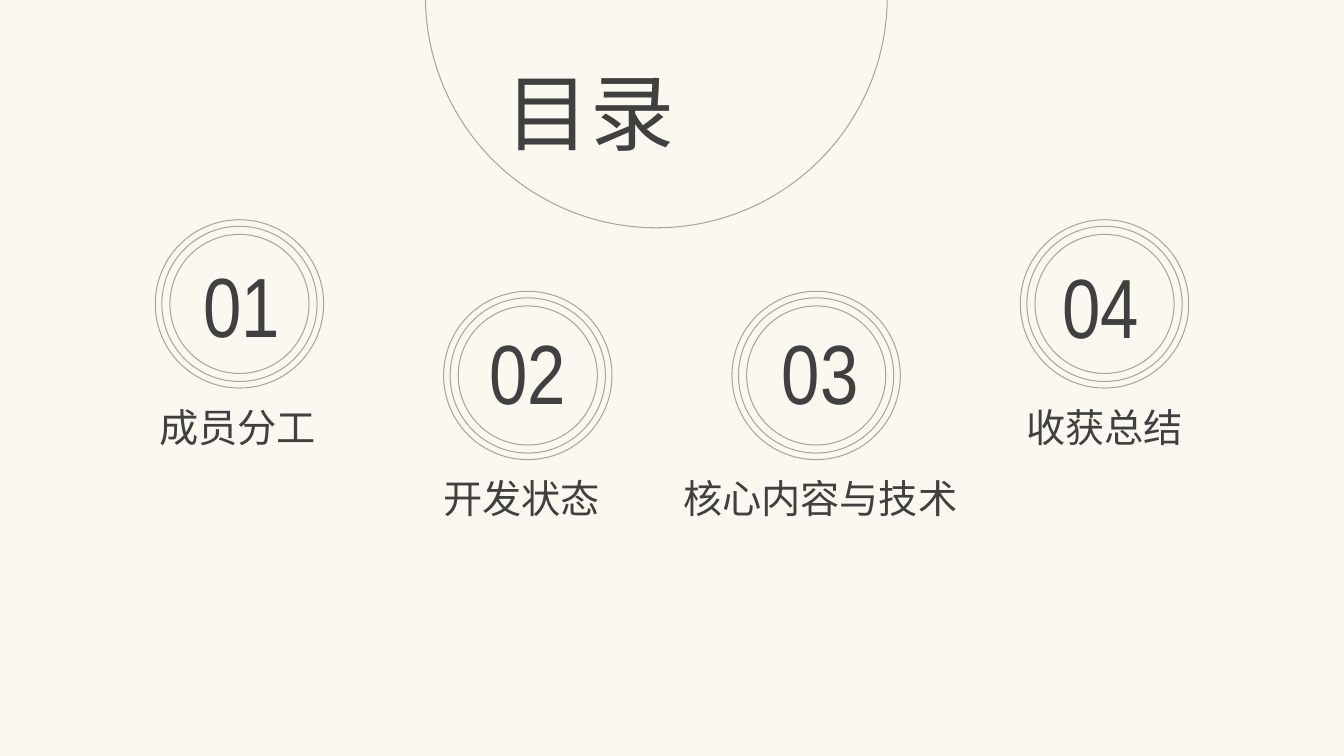
from math import cos, pi, sin

from pptx import Presentation
from pptx.dml.color import RGBColor
from pptx.enum.shapes import MSO_SHAPE
from pptx.enum.text import MSO_ANCHOR, MSO_AUTO_SIZE, PP_ALIGN
from pptx.util import Inches, Pt

COLORS = {"paper": "FBF8EF", "ring": "A6A6A6", "text": "404040"}
FONT = "Arial Narrow"
TITLE = ("目录", (4.92, 0.55, 3.18, 1.11))
SECTIONS = [
    {"number": "01", "label": "成员分工", "top": 2.18, "label_left": 0.88, "number_box": (1.87, 2.47, 1.05, 1.11)},
    {"number": "02", "label": "开发状态", "top": 2.89, "label_left": 3.7, "number_box": (4.55, 3.13, 1.37, 1.11)},
    {"number": "03", "label": "核心内容与技术", "top": 2.89, "label_left": 6.66, "number_box": (7.45, 3.13, 1.37, 1.11)},
    {"number": "04", "label": "收获总结", "top": 2.18, "label_left": 9.48, "number_box": (10.23, 2.48, 1.37, 1.11)},
]
RING_SIZES = (1.67, 1.54, 1.38)
FIRST_RING_LEFT, RING_STEP = 1.54, 2.86
LABEL_DROP, LABEL_WIDTH, LABEL_HEIGHT = 1.77, 2.95, 0.57
ARC_CENTER, ARC_RADIUS, ARC_TOP, ARC_STEPS = (6.51, -0.03), 2.29, -0.05, 120
FRAME_FORMAT = {
    "word_wrap": True,
    "auto_size": MSO_AUTO_SIZE.SHAPE_TO_FIT_TEXT,
    "vertical_anchor": MSO_ANCHOR.TOP,
}


def set_attributes(target, values):
    for name, value in values.items():
        setattr(target, name, value)


def color(name):
    return RGBColor.from_string(COLORS[name])


def style_outline(shape):
    shape.shadow.inherit = False
    shape.fill.solid()
    shape.fill.fore_color.rgb = color("paper")
    shape.line.color.rgb = color("ring")
    shape.line.width = Pt(0)


def add_text(slide, text, box, size, alignment=PP_ALIGN.CENTER):
    frame = slide.shapes.add_textbox(*map(Inches, box)).text_frame
    set_attributes(frame, FRAME_FORMAT)
    paragraph = frame.paragraphs[0]
    paragraph.alignment = alignment
    run = paragraph.add_run()
    run.text = text
    set_attributes(run.font, {"name": FONT, "size": Pt(size)})
    run.font.color.rgb = color("text")


def add_rings(slide, left, top):
    group = slide.shapes.add_group_shape()
    for size in RING_SIZES:
        inset = (RING_SIZES[0] - size) / 2
        box = (left + inset, top + inset, size, size)
        style_outline(group.shapes.add_shape(MSO_SHAPE.OVAL, *map(Inches, box)))


def add_title_arc(slide):
    center_x, center_y = ARC_CENTER
    angles = [pi * step / ARC_STEPS for step in range(ARC_STEPS + 1)]
    points = [(center_x + ARC_RADIUS * cos(angle), center_y + ARC_RADIUS * sin(angle)) for angle in angles]
    points.append((center_x - ARC_RADIUS, ARC_TOP))
    builder = slide.shapes.build_freeform(
        Inches(center_x + ARC_RADIUS), Inches(ARC_TOP)
    )
    builder.add_line_segments([(Inches(x), Inches(y)) for x, y in points], close=True)
    style_outline(builder.convert_to_shape())


def main():
    """Build the contents slide with four numbered sections."""
    presentation = Presentation()
    set_attributes(presentation, {"slide_width": Inches(13.33), "slide_height": Inches(7.5)})
    slide = presentation.slides.add_slide(presentation.slide_layouts[6])
    slide.background.fill.solid()
    slide.background.fill.fore_color.rgb = color("paper")

    for index, section in enumerate(SECTIONS):
        add_rings(slide, FIRST_RING_LEFT + index * RING_STEP, section["top"])
    add_title_arc(slide)
    add_text(slide, *TITLE, 60, PP_ALIGN.JUSTIFY)
    for section in SECTIONS:
        label_box = (section["label_left"], section["top"] + LABEL_DROP, LABEL_WIDTH, LABEL_HEIGHT)
        add_text(slide, section["label"], label_box, 28)
        add_text(slide, section["number"], section["number_box"], 60)

    presentation.save("out.pptx")


if __name__ == "__main__":
    main()
